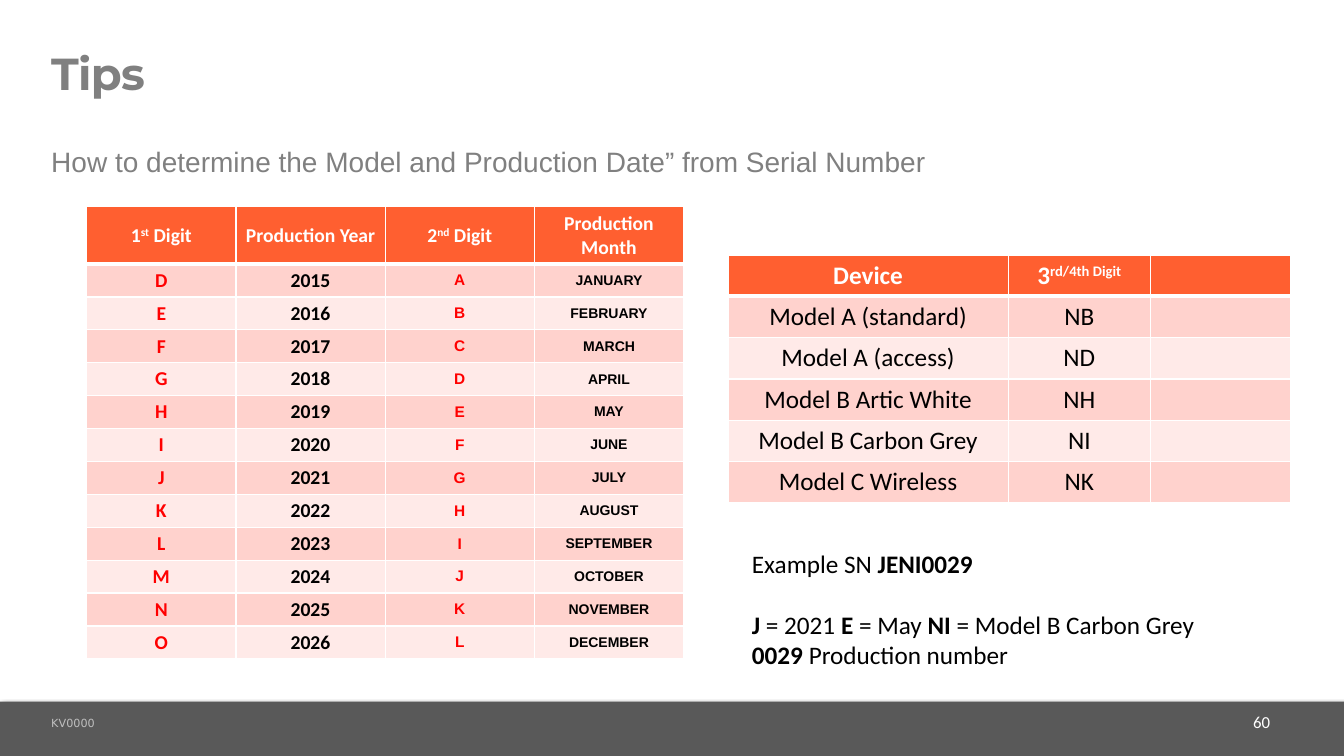
"""Build the Tips slide on reading model and production date from a serial number."""
from lxml import etree
from pptx import Presentation
from pptx import util as u
from pptx.dml.color import RGBColor
from pptx.enum import shapes, text
from pptx.oxml import ns

WHITE = RGBColor(0xFF, 0xFF, 0xFF)
BLACK = RGBColor(0x00, 0x00, 0x00)
RED = RGBColor(0xFF, 0x00, 0x00)
GREY = RGBColor(0x80, 0x80, 0x80)
LIGHT_GREY = RGBColor(0xBF, 0xBF, 0xBF)
DARK_GREY = RGBColor(0x59, 0x59, 0x59)
ORANGE = RGBColor(0xFF, 0x5F, 0x30)
BANDS = [RGBColor(0xFF, 0xEA, 0xE8), RGBColor(0xFF, 0xD2, 0xCD)]
CENTER = text.PP_ALIGN.CENTER


def add_run(paragraph, words, size, color, name="Calibri", bold=False, raised=False):
    run = paragraph.add_run()
    run.text = words
    run.font.size = u.Pt(size)
    run.font.name = name
    run.font.bold = bold
    run.font.color.rgb = color
    if raised:
        run._r.get_or_add_rPr().set("baseline", "30000")
    return run


def add_grid(position, widths, heights):
    left, top = position
    frame = slide.shapes.add_table(
        len(heights), len(widths), u.Inches(left), u.Inches(top),
        u.Inches(sum(widths)), u.Inches(sum(heights)))
    table = frame.table
    for column, width in zip(table.columns, widths):
        column.width = u.Inches(width)
    for index, (row, height) in enumerate(zip(table.rows, heights)):
        row.height = u.Inches(height)
        for cell in row.cells:
            properties = cell._tc.get_or_add_tcPr()
            for side in "LRTB":
                thick = (index, side) in [(0, "B"), (1, "T")]
                line = etree.SubElement(properties, ns.qn("a:ln" + side), w=str(u.Pt(3 if thick else 1)))
                fill = etree.SubElement(line, ns.qn("a:solidFill"))
                etree.SubElement(fill, ns.qn("a:srgbClr"), val=str(WHITE))
            cell.fill.solid()
            cell.fill.fore_color.rgb = BANDS[index % 2] if index else ORANGE
            cell.text_frame.paragraphs[0].alignment = CENTER
    return table


presentation = Presentation()
presentation.slide_width = u.Inches(13.33)
presentation.slide_height = u.Inches(7.5)
slide = presentation.slides.add_slide(presentation.slide_layouts[6])

footer = slide.shapes.add_shape(
    shapes.MSO_SHAPE.RECTANGLE, u.Inches(0), u.Inches(6.96), u.Inches(13.33), u.Inches(0.54))
footer.fill.solid()
footer.fill.fore_color.rgb = DARK_GREY
footer.line.fill.background()
footer.shadow.inherit = False
effects = footer._element.spPr.find(ns.qn("a:effectLst"))
shadow = etree.SubElement(effects, ns.qn("a:outerShdw"), blurRad=str(u.Pt(3)),
                          dist=str(u.Pt(2)), dir="2700000", rotWithShape="0")
shadow_color = etree.SubElement(shadow, ns.qn("a:srgbClr"), val=str(BLACK))
etree.SubElement(shadow_color, ns.qn("a:alpha"), val="60000")

SUBTITLE = "How to determine the Model and Production Date” from Serial Number"
EXAMPLE = [
    [("Example SN ", False), ("JENI0029", True)],
    [("J ", True), ("= 2021 ", False), ("E ", True), ("= May ", False),
     ("NI ", True), ("= Model B Carbon Grey", False)],
    [("0029 ", True), ("Production number", False)],
]
text_boxes = [
    ((0.41, 7.06, 2.7, 0.4), [[("KV0000", False)]], 8, LIGHT_GREY, "DejaVu Sans", 1),
    ((12.33, 7.01, 0.92, 0.44), [[("60", False)]], 12, WHITE, "Calibri", 1),
    ((0.41, 0.49, 10.26, 0.42), [[("Tips", True)]], 32, GREY, "Montserrat", 0.85),
    ((0.41, 1.42, 12.18, 5.25), [[(SUBTITLE, False)]], 20, GREY, "Arial", 0.9),
    ((7.36, 5.39, 5.43, 1.31), EXAMPLE, 18, BLACK, "Calibri", 1),
]
for place, lines, size, color, name, spacing in text_boxes:
    box = slide.shapes.add_textbox(*[u.Inches(length) for length in place])
    frame = box.text_frame
    frame.word_wrap = True
    for index, line in enumerate(lines):
        paragraph = frame.add_paragraph() if index else frame.paragraphs[0]
        paragraph.line_spacing = spacing
        if index == 1:
            paragraph.space_before = u.Pt(22)
        for words, bold in line:
            run = add_run(paragraph, words, size, color, name, bold)
            if name == "Montserrat":
                run._r.get_or_add_rPr().set("spc", "-50")

devices = [
    ("Model A (standard)", "NB"),
    ("Model A (access)", "ND"),
    ("Model B Artic White", "NH"),
    ("Model B Carbon Grey", "NI"),
    ("Model C Wireless", "NK"),
]
device_table = add_grid((7.22, 2.53), [2.78, 1.41, 1.39], [0.41] * 6)
add_run(device_table.cell(0, 0).text_frame.paragraphs[0], "Device", 18, WHITE, bold=True)
digit_heading = device_table.cell(0, 1).text_frame.paragraphs[0]
add_run(digit_heading, "3", 18, WHITE, bold=True)
add_run(digit_heading, "rd/4th Digit", 18, WHITE, bold=True, raised=True)
for row, device in enumerate(devices, 1):
    for column, words in enumerate(device):
        add_run(device_table.cell(row, column).text_frame.paragraphs[0], words, 18, BLACK)

months = ["JANUARY", "FEBRUARY", "MARCH", "APRIL", "MAY", "JUNE", "JULY",
          "AUGUST", "SEPTEMBER", "OCTOBER", "NOVEMBER", "DECEMBER"]
headings = [
    [("1", False), ("st", True), (" Digit", False)],
    [("Production Year", False)],
    [("2", False), ("nd", True), (" Digit", False)],
    [("Production Month", False)],
]
column_styles = [(14, RED, "Calibri"), (14, BLACK, "Calibri"), (11, RED, "Arial"), (10, BLACK, "Arial")]
date_table = add_grid((0.86, 2.05), [1.48] * 4, [0.57] + [3.92 / 12] * 12)
for column, heading in enumerate(headings):
    for words, raised in heading:
        add_run(date_table.cell(0, column).text_frame.paragraphs[0], words, 14, WHITE, bold=True, raised=raised)
for row, month in enumerate(months, 1):
    values = ["DEFGHIJKLMNO"[row - 1], str(2014 + row), "ABCDEFGHIJKL"[row - 1], month]
    for column, (words, style) in enumerate(zip(values, column_styles)):
        add_run(date_table.cell(row, column).text_frame.paragraphs[0], words, *style, bold=True)
for row in range(13):
    for column in range(4):
        cell = date_table.cell(row, column)
        cell.vertical_anchor = text.MSO_ANCHOR.MIDDLE
        if row or column < 2:
            cell.margin_left = cell.margin_right = cell.margin_top = cell.margin_bottom = 0

presentation.save("out.pptx")
